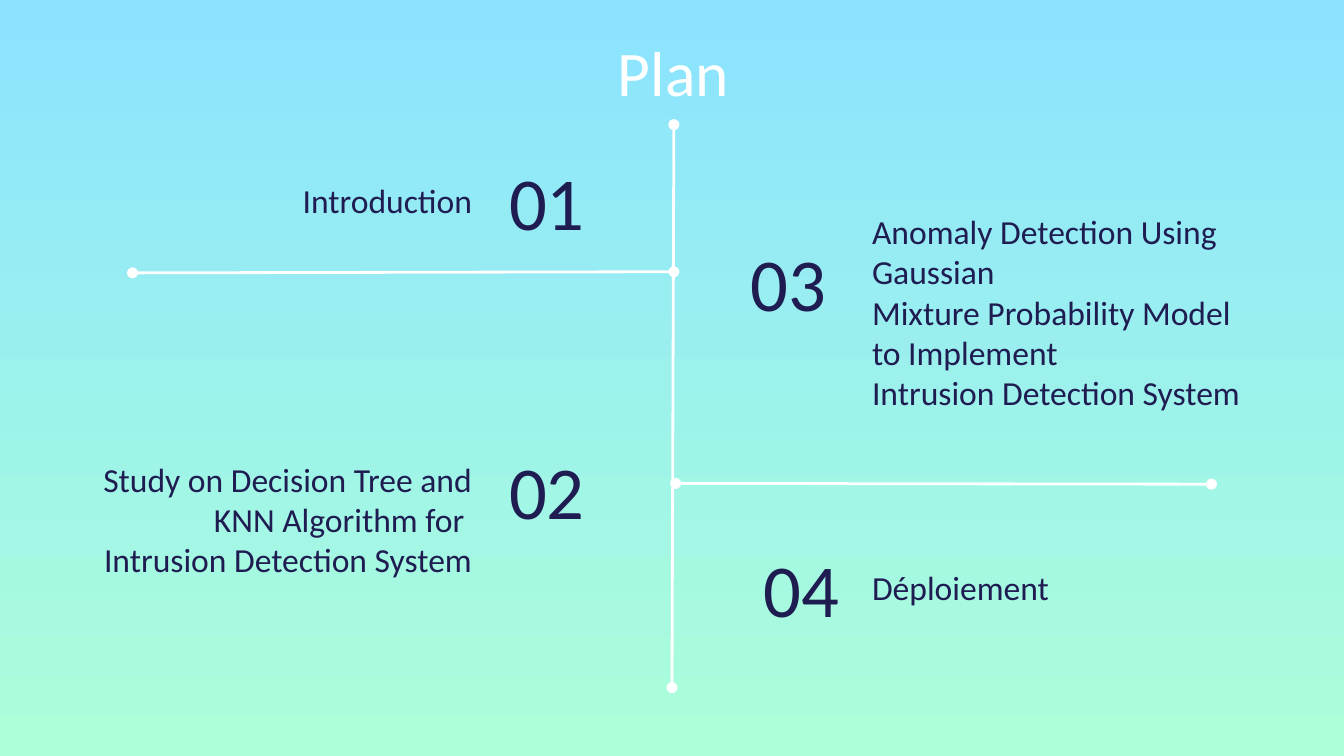
from dataclasses import dataclass

import lxml.etree
import pptx
import pptx.dml.color
import pptx.enum.shapes
import pptx.enum.text
import pptx.oxml.ns
import pptx.slide
import pptx.util

Pt = pptx.util.Pt
RGBColor = pptx.dml.color.RGBColor
Align = pptx.enum.text.PP_ALIGN
Anchor = pptx.enum.text.MSO_ANCHOR
qn = pptx.oxml.ns.qn

SKY = RGBColor(0x8B, 0xE3, 0xFF)
MINT = RGBColor(0xAC, 0xFF, 0xD9)
NAVY = RGBColor(0x1F, 0x1C, 0x51)
WHITE = RGBColor(0xFF, 0xFF, 0xFF)
FONT = "Calibri"
INSET = Pt(7.2)


@dataclass(frozen=True)
class Label:
    text: str
    left: float
    top: float
    width: float
    height: float
    size: float
    align: Align = Align.LEFT
    anchor: Anchor = Anchor.MIDDLE
    color: RGBColor = NAVY
    indent: float = 0


@dataclass(frozen=True)
class Branch:
    start: tuple[float, float]
    end: tuple[float, float]


def number(text: str, left: float, top: float, align: Align = Align.LEFT, indent: float = 0) -> Label:
    return Label(text, left, top, 93.6, 61.9, 40, align, indent=indent)


def topic(text: str, left: float, top: float, height: float, align: Align = Align.LEFT) -> Label:
    return Label(text, left, top, 214.6, height, 18, align, Anchor.BOTTOM)


LEFT_TOPICS, RIGHT_TOPICS = 45.4, 460.1
LABELS = [
    number("01", 265.7, 76.3),
    topic("Introduction", LEFT_TOPICS, 89.3, 36, Align.RIGHT),
    number("02", 265.7, 231.1),
    topic(
        "Study on Decision Tree and KNN Algorithm for \nIntrusion Detection System",
        LEFT_TOPICS, 221.8, 95.8, Align.RIGHT,
    ),
    number("03", 367.9, 120.2, indent=27.2),
    topic(
        "Anomaly Detection Using Gaussian\n"
        "Mixture Probability Model to Implement\n"
        "Intrusion Detection System",
        RIGHT_TOPICS, 74.9, 153.4,
    ),
    number("04", 362.9, 283.7, Align.RIGHT),
    topic("Déploiement", RIGHT_TOPICS, 296.6, 36),
    Label("Plan", 242.6, 10.8, 236.2, 55.4, 34, Align.CENTER, Anchor.TOP, WHITE),
]
BRANCHES = [
    Branch((361, 66.8), (360, 368.4)),
    Branch((71, 146.2), (361, 145.6)),
    Branch((362, 259), (649, 259.4)),
]


def draw_label(slide: pptx.slide.Slide, label: Label) -> None:
    box = slide.shapes.add_textbox(Pt(label.left), Pt(label.top), Pt(label.width), Pt(label.height))
    frame = box.text_frame
    frame.word_wrap = True
    frame.vertical_anchor = label.anchor
    frame.margin_left = INSET + Pt(label.indent)
    frame.margin_right = frame.margin_top = frame.margin_bottom = INSET
    frame.text = label.text
    for paragraph in frame.paragraphs:
        paragraph.alignment = label.align
        for run in paragraph.runs:
            run.font.name = FONT
            run.font.size = Pt(label.size)
            run.font.color.rgb = label.color


def draw_branch(slide: pptx.slide.Slide, branch: Branch) -> None:
    line = slide.shapes.add_connector(
        pptx.enum.shapes.MSO_CONNECTOR.STRAIGHT,
        *(Pt(value) for value in branch.start + branch.end),
    )
    line.line.color.rgb = WHITE
    line.line.width = Pt(1.5)
    outline = line.line._get_or_add_ln()
    for tag in ("a:headEnd", "a:tailEnd"):
        lxml.etree.SubElement(outline, qn(tag), type="oval")
    lxml.etree.SubElement(line._element.spPr, qn("a:effectLst"))


def main() -> None:
    deck = pptx.Presentation()
    deck.slide_width, deck.slide_height = Pt(720), Pt(405)
    slide = deck.slides.add_slide(deck.slide_layouts[6])
    backdrop = slide.background.fill
    backdrop.gradient()
    backdrop.gradient_angle = 270
    for stop, color in zip(backdrop.gradient_stops, (SKY, MINT)):
        stop.color.rgb = color
    for branch in BRANCHES:
        draw_branch(slide, branch)
    for label in LABELS:
        draw_label(slide, label)
    deck.save("out.pptx")


if __name__ == "__main__":
    main()
